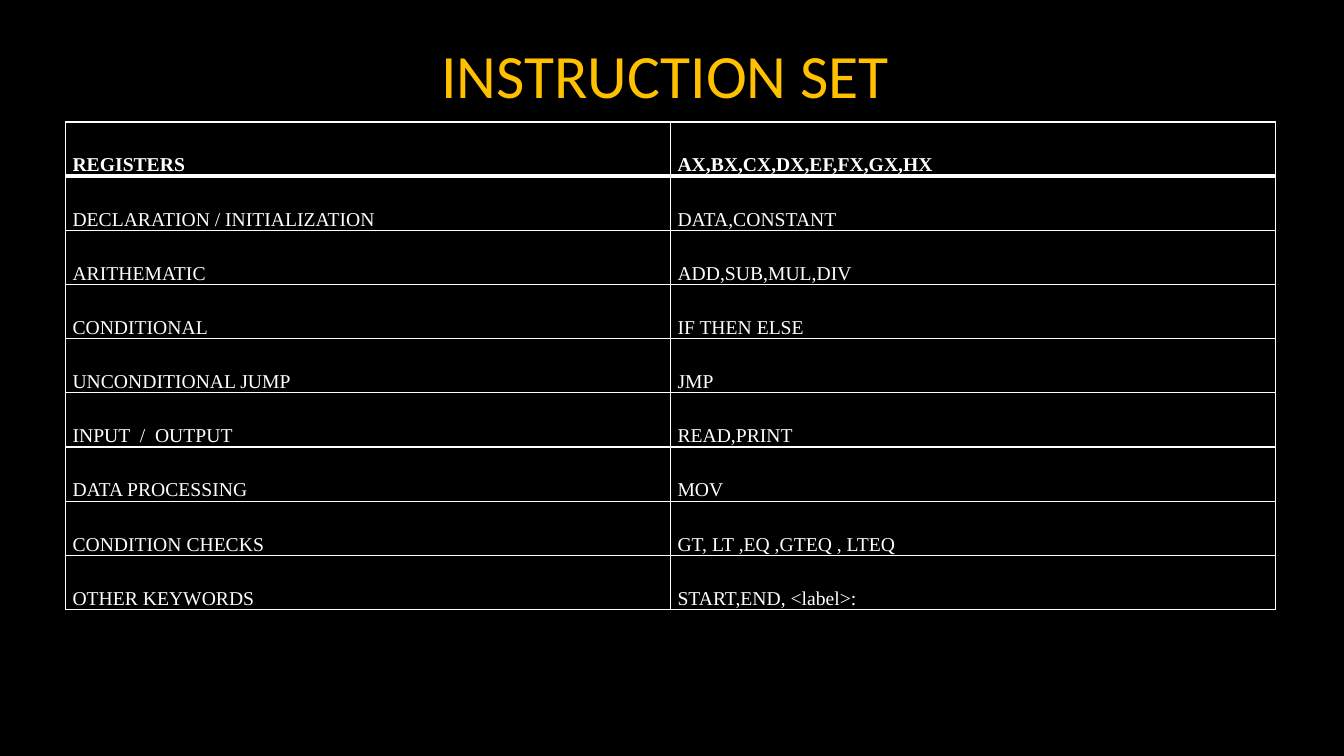
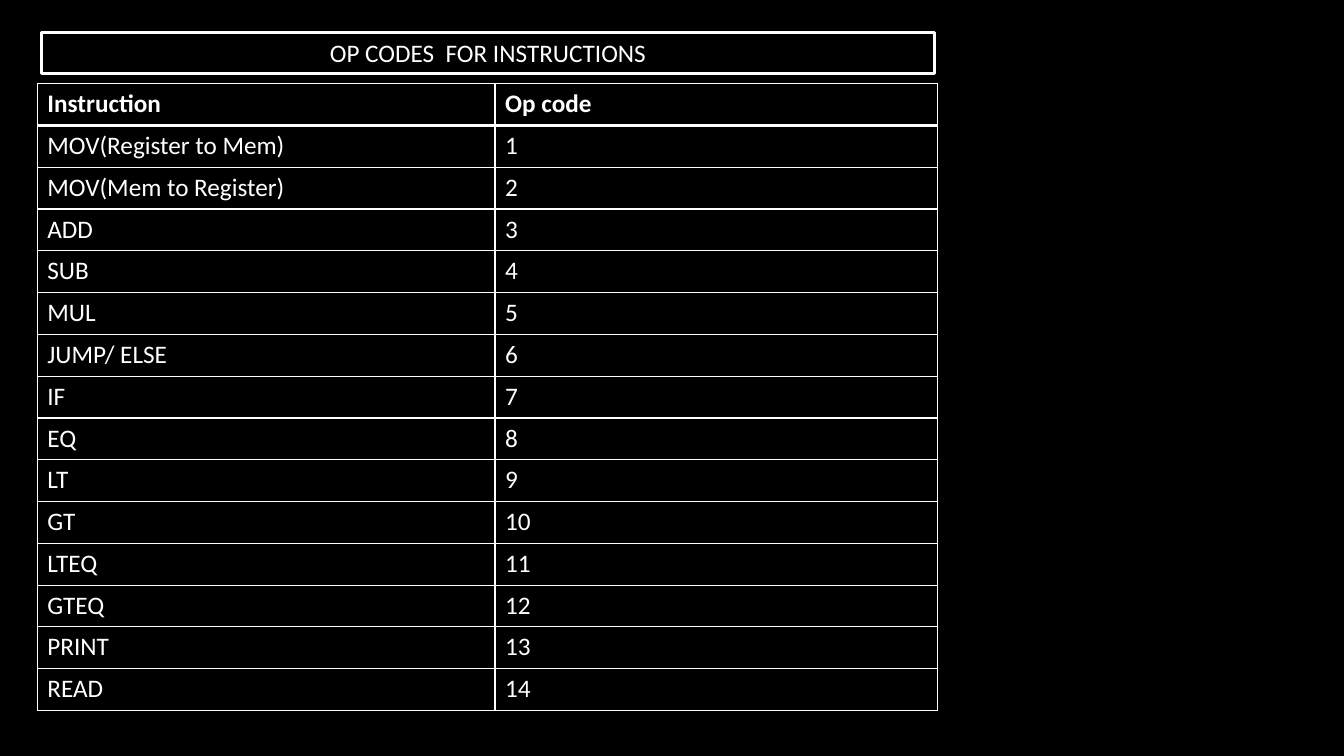
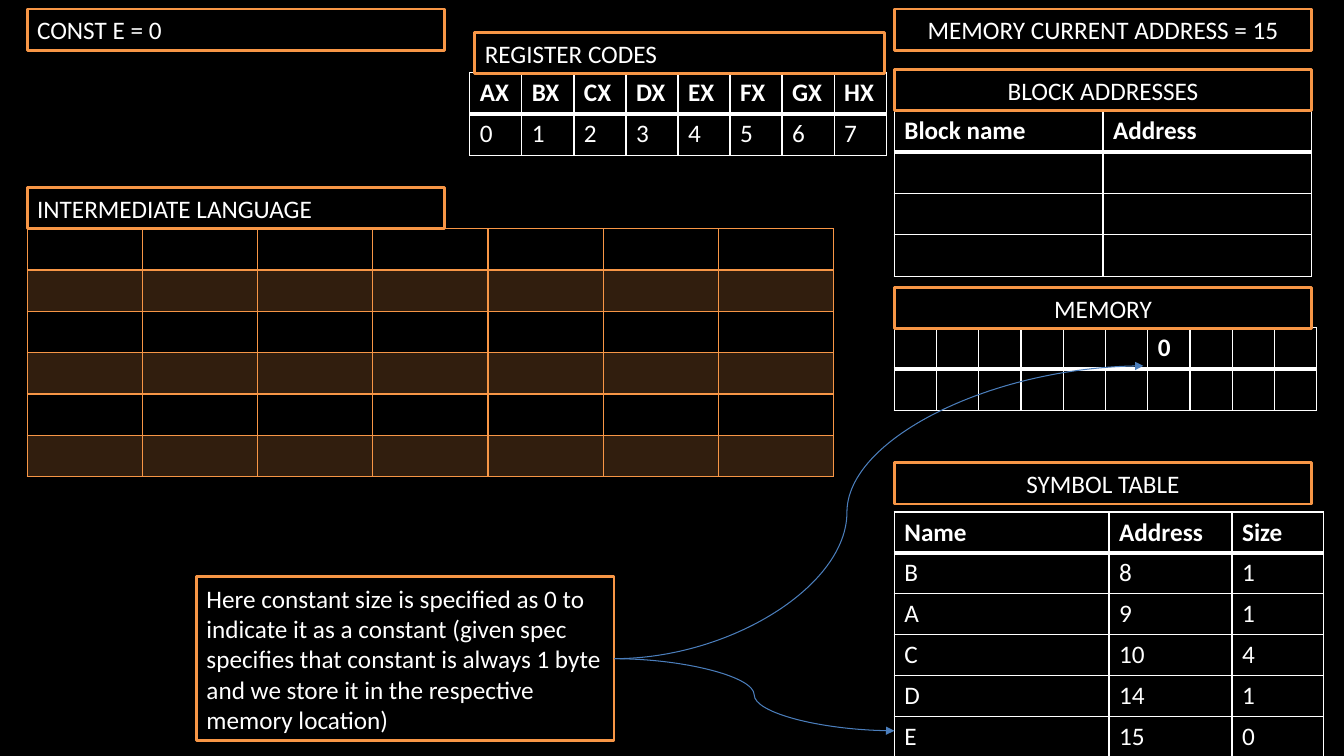
from lxml.etree import SubElement
from pptx import Presentation
from pptx.dml.color import RGBColor
from pptx.enum.shapes import MSO_CONNECTOR as Connector, MSO_SHAPE as Preset
from pptx.enum.text import MSO_ANCHOR as Anchor, PP_ALIGN as Align
from pptx.oxml.ns import qn
from pptx.util import Inches, Pt

BLACK = RGBColor(0x00, 0x00, 0x00)
WHITE = RGBColor(0xFF, 0xFF, 0xFF)
GOLD = RGBColor(0xFF, 0xC0, 0x00)
ORANGE = RGBColor(0xF7, 0x96, 0x46)
BLUE = RGBColor(0x4B, 0x7E, 0xBC)

WIDTH, HEIGHT = 13.33, 7.5
ROW = 0.41
LEFT, RIGHT = 0.27, 8.87
PANEL = 4.14
TITLE_ONLY, BLANK = 5, 6

INSTRUCTION_SET = [
    ("REGISTERS", "AX,BX,CX,DX,EF,FX,GX,HX"),
    ("DECLARATION / INITIALIZATION", "DATA,CONSTANT"),
    ("ARITHEMATIC", "ADD,SUB,MUL,DIV"),
    ("CONDITIONAL", "IF THEN ELSE"),
    ("UNCONDITIONAL JUMP", "JMP"),
    ("INPUT  /  OUTPUT", "READ,PRINT"),
    ("DATA PROCESSING", "MOV"),
    ("CONDITION CHECKS", "GT, LT ,EQ ,GTEQ , LTEQ"),
    ("OTHER KEYWORDS", "START,END, <label>:"),
]
INSTRUCTIONS = [
    "MOV(Register to Mem)", "MOV(Mem to Register)", "ADD", "SUB", "MUL",
    "JUMP/ ELSE", "IF", "EQ", "LT", "GT", "LTEQ", "GTEQ", "PRINT", "READ",
]
OP_CODES = [("Instruction", "Op code")] + [
    (name, str(code)) for code, name in enumerate(INSTRUCTIONS, 1)
]
REGISTERS = ["AX", "BX", "CX", "DX", "EX", "FX", "GX", "HX"]
REGISTER_CODES = [REGISTERS, [str(code) for code in range(len(REGISTERS))]]
MEMORY = [[""] * 6 + ["0"] + [""] * 3, [""] * 10]
BLOCKS = [("Block name", "Address")] + [("", "")] * 3
SYMBOLS = [
    ("Name", "Address", "Size"),
    ("B", "8", "1"),
    ("A", "9", "1"),
    ("C", "10", "4"),
    ("D", "14", "1"),
    ("E", "15", "0"),
]
INTERMEDIATE = [[""] * 7] * 6

LABELS = [
    ("MEMORY", RIGHT, 2.85, PANEL, Align.CENTER),
    ("SYMBOL TABLE", RIGHT, 4.59, PANEL, Align.CENTER),
    ("BLOCK ADDRESSES", RIGHT, 0.69, PANEL, Align.CENTER),
    ("MEMORY CURRENT ADDRESS = 15", RIGHT, 0.09, PANEL, Align.CENTER),
    ("CONST E = 0", LEFT, 0.09, PANEL, Align.LEFT),
    ("INTERMEDIATE LANGUAGE", LEFT, 1.86, PANEL, Align.LEFT),
    ("REGISTER CODES", 4.71, 0.32, 4.06, Align.LEFT),
]
NOTE = (
    "Here constant size is specified as 0 to indicate it as a constant "
    "(given spec specifies that constant is always 1 byte and we store it "
    "in the respective memory location)"
)
ARROWS = [((11.34, 3.63), 0.44), ((RIGHT, 7.25), 0.5)]


def put_text(frame, text, size=18, color=WHITE, font="Calibri", bold=False,
             align=Align.LEFT, anchor=None):
    frame.word_wrap = True
    if anchor is not None:
        frame.vertical_anchor = anchor
    para = frame.paragraphs[0]
    para.alignment = align
    span = para.add_run()
    span.text = text
    span.font.size = Pt(size)
    span.font.name = font
    span.font.bold = bold
    span.font.color.rgb = color


def place(shape, left, top, width, height):
    shape.left, shape.top = Inches(left), Inches(top)
    shape.width, shape.height = Inches(width), Inches(height)


def outline(shape, color):
    shape.fill.solid()
    shape.fill.fore_color.rgb = BLACK
    shape.line.color.rgb = color
    shape.line.width = Pt(2)


def add_label(page, text, left, top, width, align, height=ROW):
    box = page.shapes.add_shape(
        Preset.RECTANGLE, Inches(left), Inches(top), Inches(width), Inches(height))
    box.shadow.inherit = False
    outline(box, ORANGE)
    put_text(box.text_frame, text, align=align, anchor=Anchor.MIDDLE)
    return box


def add_borders(cell, color, top, bottom):
    props = cell._tc.get_or_add_tcPr()
    for side, points in (("L", 1), ("R", 1), ("T", top), ("B", bottom)):
        line = SubElement(props, qn("a:ln" + side), w=str(Pt(points)))
        paint = SubElement(line, qn("a:solidFill"))
        SubElement(paint, qn("a:srgbClr"), val=str(color))


def fill_cell(cell, color, alpha=None):
    cell.fill.solid()
    cell.fill.fore_color.rgb = color
    if alpha is not None:
        paint = cell._tc.tcPr.find(qn("a:solidFill")).find(qn("a:srgbClr"))
        SubElement(paint, qn("a:alpha"), val=str(alpha * 1000))


def add_grid(page, rows, left, top, columns, row_height=ROW, color=WHITE,
             header_line=3, banded=False, insets=None, **text_format):
    table = page.shapes.add_table(
        len(rows), len(columns), Inches(left), Inches(top),
        Inches(sum(columns)), Inches(row_height * len(rows))).table
    table.first_row = table.horz_banding = False
    for column, width in zip(table.columns, columns):
        column.width = Inches(width)
    for r, texts in enumerate(rows):
        table.rows[r].height = Inches(row_height)
        for c, text in enumerate(texts):
            cell = table.cell(r, c)
            add_borders(cell, color, header_line if r == 1 else 1,
                        header_line if r == 0 else 1)
            if not banded:
                fill_cell(cell, BLACK)
            elif r % 2:
                fill_cell(cell, color, alpha=20)
            else:
                cell.fill.background()
            if insets:
                cell.margin_left = cell.margin_right = Inches(insets[0])
                cell.margin_top = cell.margin_bottom = Inches(insets[1])
                cell.vertical_anchor = Anchor.BOTTOM
            if text:
                put_text(cell.text_frame, text, bold=r == 0, **text_format)


def add_arrow(page, source, target, bend):
    end = [Inches(value) for value in target]
    arrow = page.shapes.add_connector(Connector.CURVE, 0, 0, *end)
    arrow.begin_connect(source, 3)
    arrow.line.color.rgb = BLUE
    arrow.line.width = Pt(0.75)
    props = arrow._element.spPr
    SubElement(props.find(qn("a:ln")), qn("a:tailEnd"), type="triangle")
    SubElement(props, qn("a:effectLst"))
    guides = props.find(qn("a:prstGeom")).find(qn("a:avLst"))
    SubElement(guides, qn("a:gd"), name="adj1", fmla=f"val {round(bend * 100000)}")


def add_page(deck, layout):
    return deck.slides.add_slide(deck.slide_layouts[layout])


def instruction_page(deck):
    page = add_page(deck, TITLE_ONLY)
    title = page.shapes.title
    place(title, 0.67, 0.3, 12, 0.86)
    put_text(title.text_frame, "INSTRUCTION SET ", size=44, color=GOLD,
             align=Align.CENTER, anchor=Anchor.MIDDLE)
    add_grid(page, INSTRUCTION_SET, 0.65, 1.21, [6, 6],
             row_height=4.84 / len(INSTRUCTION_SET), insets=(0.07, 0),
             size=14, font="Times New Roman", align=Align.JUSTIFY)


def op_code_page(deck):
    page = add_page(deck, TITLE_ONLY)
    title = page.shapes.title
    place(title, 0.41, 0.32, 8.86, ROW)
    outline(title, WHITE)
    put_text(title.text_frame, "OP CODES  FOR INSTRUCTIONS",
             align=Align.CENTER, anchor=Anchor.MIDDLE)
    add_grid(page, OP_CODES, 0.37, 0.83, [4.54, 4.39],
             row_height=6.22 / len(OP_CODES))


def memory_page(deck):
    page = add_page(deck, BLANK)
    add_grid(page, MEMORY, RIGHT, 3.25, [4.19 / 10] * 10)
    add_grid(page, SYMBOLS, RIGHT, 5.08, [2.13, 1.22, 0.91], row_height=0.4)
    add_grid(page, INTERMEDIATE, LEFT, 2.27, [8 / 7] * 7, color=ORANGE,
             header_line=2, banded=True)
    add_grid(page, BLOCKS, RIGHT, 1.1, [PANEL / 2] * 2)
    add_grid(page, REGISTER_CODES, 4.66, 0.72, [4.13 / 8] * 8)
    for label in LABELS:
        add_label(page, *label)
    note = add_label(page, NOTE, 1.95, 5.72, PANEL, Align.LEFT, height=1.63)
    for target, bend in ARROWS:
        add_arrow(page, note, target, bend)


def main():
    deck = Presentation()
    deck.slide_width, deck.slide_height = Inches(WIDTH), Inches(HEIGHT)
    backdrop = deck.slide_master.background.fill
    backdrop.solid()
    backdrop.fore_color.rgb = BLACK
    for build in (instruction_page, op_code_page, memory_page):
        build(deck)
    deck.save("out.pptx")


if __name__ == "__main__":
    main()
